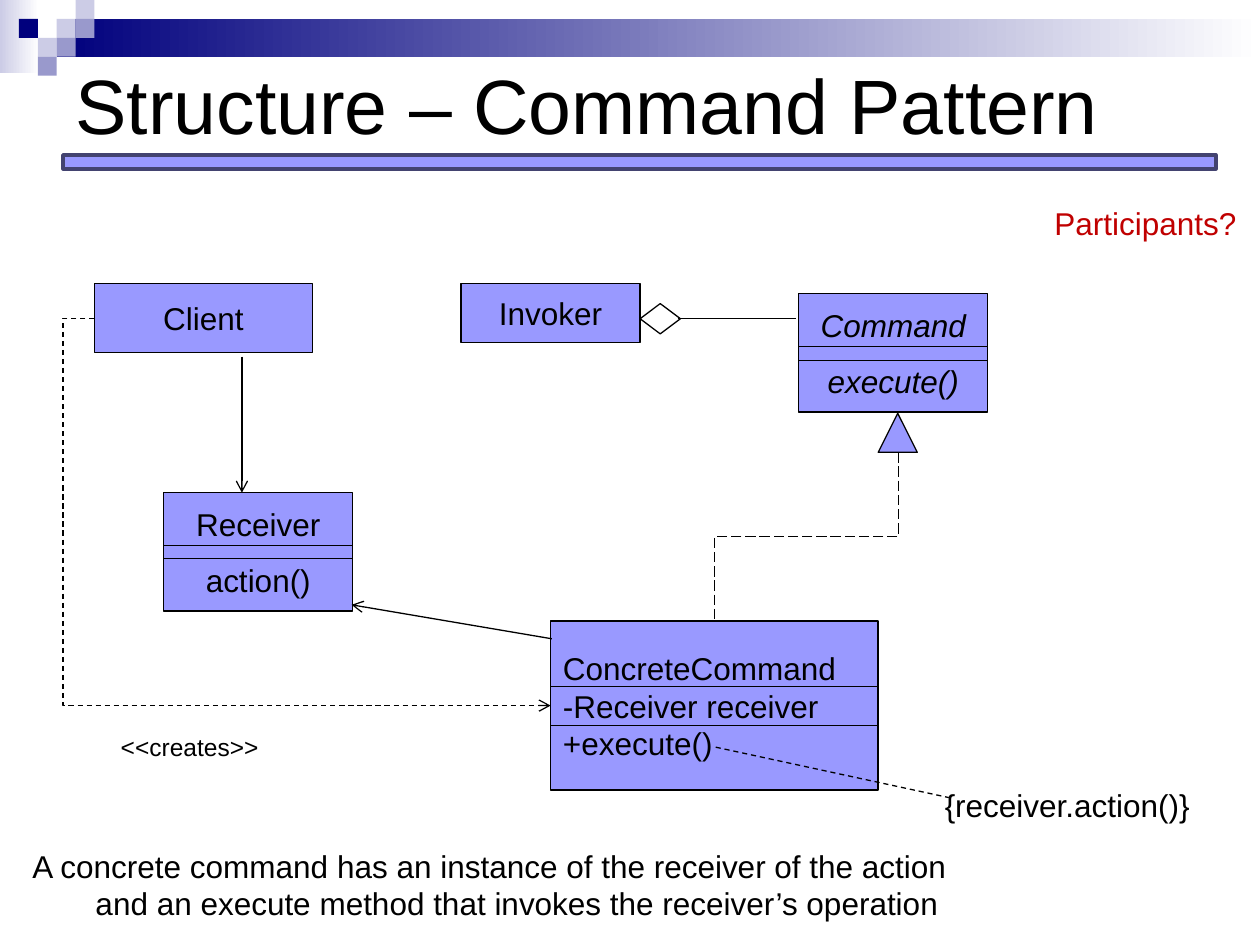
"""Build the slide on the structure of the Command pattern."""
import pptx
import pptx.util
import pptx.dml.color
import pptx.enum.dml
import pptx.enum.shapes
import pptx.enum.text
import pptx.oxml
import pptx.oxml.ns

COLORS = {
    "ink": "000000", "box": "9999FF", "bar edge": "434370", "question": "C00000",
    "navy": "00007D", "pale": "CCCCE6", "mid": "9999CC", "white": "FFFFFF",
}
RGB = {name: pptx.dml.color.RGBColor.from_string(code) for name, code in COLORS.items()}
SHAPE = pptx.enum.shapes.MSO_SHAPE
LINK = pptx.enum.shapes.MSO_CONNECTOR
DASH = pptx.enum.dml.MSO_LINE
ALIGN = pptx.enum.text.PP_ALIGN
MIDDLE = pptx.enum.text.MSO_ANCHOR.MIDDLE
THIN = pptx.util.Pt(0.75)
TOP, LEFT = 0, 1

deck = pptx.Presentation()
deck.slide_width = pptx.util.Inches(10)
deck.slide_height = pptx.util.Inches(7.5)
CELL = deck.slide_width / 100
slide = deck.slides.add_slide(deck.slide_layouts[5])
shapes = slide.shapes


def grid(*cells):
    """Turn columns and rows of the 100 by 75 grid into lengths."""
    return [pptx.util.Emu(round(count * CELL)) for count in cells]


def write(frame, text, size=18, color="ink", align=ALIGN.LEFT, italic=False,
          anchor=None, wrap=False, gap=0, second_level=0):
    """Fill a text frame, one paragraph for each line of the text."""
    frame.word_wrap = wrap
    if anchor is not None:
        frame.vertical_anchor = anchor
    for index, line in enumerate(text.split("\n")):
        paragraph = frame.add_paragraph() if index else frame.paragraphs[0]
        paragraph.alignment = align
        if index:
            paragraph.space_before = pptx.util.Pt(gap)
            paragraph.level = second_level
        run = paragraph.add_run()
        run.text = line
        run.font.name = "Arial"
        run.font.size = pptx.util.Pt(size)
        run.font.italic = italic
        run.font.color.rgb = RGB[color]


for place, start in [((0, 0, 3.1, 5.8), "pale"), ((4.5, 1.5, 95.5, 3), "navy")]:
    band = shapes.add_shape(SHAPE.RECTANGLE, *grid(*place))
    band.shadow.inherit = False
    band.line.fill.background()
    band.fill.gradient()
    band.fill.gradient_angle = 0
    for stop, color in zip(band.fill.gradient_stops, (start, "white")):
        stop.color.rgb = RGB[color]

TILE = 1.5
for column, row, color in [(3, 1, "pale"), (4, 0, "pale"), (4, 1, "mid"), (2, 2, "pale"),
                           (1, 1, "navy"), (3, 2, "mid"), (2, 3, "mid")]:
    tile = shapes.add_shape(SHAPE.RECTANGLE, *grid(column * TILE, row * TILE, TILE, TILE))
    tile.shadow.inherit = False
    tile.line.fill.background()
    tile.fill.solid()
    tile.fill.fore_color.rgb = RGB[color]

title = shapes.title
title.left, title.top, title.width, title.height = grid(5, 0.7, 90, 15)
write(title.text_frame, "Structure – Command Pattern", size=44, anchor=MIDDLE, wrap=True)

parts = {}
for part, preset, place, text, style in [
    ("bar", SHAPE.RECTANGLE, (5, 12.3, 91.5, 1.1), "", {}),
    ("client", SHAPE.RECTANGLE, (7.5, 22.5, 17.3, 5.5), "Client", {"align": ALIGN.CENTER}),
    ("invoker", SHAPE.RECTANGLE, (36.6, 22.5, 14.2, 4.7), "Invoker", {"align": ALIGN.CENTER}),
    ("receiver", SHAPE.RECTANGLE, (13, 39.1, 15, 9.4), "Receiver\naction()",
     {"align": ALIGN.CENTER, "gap": 10}),
    ("concrete", SHAPE.RECTANGLE, (43.7, 49.3, 26, 13.4),
     "ConcreteCommand\n-Receiver receiver\n+execute()", {}),
    ("command", SHAPE.RECTANGLE, (63.4, 23.3, 15, 9.4), "Command\nexecute()",
     {"align": ALIGN.CENTER, "gap": 10, "italic": True}),
    ("inheritance", SHAPE.ISOSCELES_TRIANGLE, (69.7, 32.8, 3.1, 3.1), "", {}),
    ("aggregation", SHAPE.DIAMOND, (50.8, 24.1, 3.2, 2.4), "", {}),
]:
    box = parts[part] = shapes.add_shape(preset, *grid(*place))
    box.shadow.inherit = False
    box.fill.solid()
    box.fill.fore_color.rgb = RGB["box"]
    box.line.color.rgb = RGB["ink"]
    box.line.width = THIN
    if text:
        write(box.text_frame, text, anchor=MIDDLE, **style)
parts["bar"].line.color.rgb = RGB["bar edge"]
parts["bar"].line.width = pptx.util.Pt(2)
parts["aggregation"].fill.background()

links = [((left, row, left + width, row), {})
         for left, width, rows in [(13, 15, (43.3, 44.3)), (43.7, 26, (54.5, 57.6)),
                                   (63.4, 15, (27.5, 28.6))]
         for row in rows]
links += [
    ((53.8, 25.3, 63.2, 25.3), {}),
    ((43.8, 50.7, 27.9, 48), {"arrow": True}),
    ((19.2, 28.3, 19.2, 39.1), {"arrow": True}),
    ((56.8, 59.3, 75.3, 63.3), {"dash": DASH.DASH}),
    ((57.3, 35.3, 70.7, 49.9), {"dash": DASH.LONG_DASH, "bend": 49900, "turn": 90,
                                "end": ("concrete", TOP)}),
    ((7.5, 25.25, 43.7, 56), {"dash": DASH.DASH, "bend": -6900, "arrow": True,
                              "begin": ("client", LEFT), "end": ("concrete", LEFT)}),
]
for ends, style in links:
    kind = LINK.ELBOW if "bend" in style else LINK.STRAIGHT
    link = shapes.add_connector(kind, *grid(*ends))
    link.line.color.rgb = RGB["ink"]
    link.line.width = THIN
    if "dash" in style:
        link.line.dash_style = style["dash"]
    if "begin" in style:
        part, side = style["begin"]
        link.begin_connect(parts[part], side)
    if "end" in style:
        part, side = style["end"]
        link.end_connect(parts[part], side)
    link.begin_x, link.begin_y, link.end_x, link.end_y = grid(*ends)
    properties = link._element.spPr
    if "turn" in style:
        properties.find(pptx.oxml.ns.qn("a:xfrm")).set("rot", str(style["turn"] * 60000))
    if "bend" in style:
        guides = properties.find(".//" + pptx.oxml.ns.qn("a:avLst"))
        guides.append(pptx.oxml.parse_xml(
            f'<a:gd {pptx.oxml.ns.nsdecls("a")} name="adj1" fmla="val {style["bend"]}"/>'))
    if style.get("arrow"):
        properties.find(pptx.oxml.ns.qn("a:ln")).append(pptx.oxml.parse_xml(
            f'<a:tailEnd {pptx.oxml.ns.nsdecls("a")} type="arrow"/>'))
    properties.append(pptx.oxml.parse_xml(f'<a:effectLst {pptx.oxml.ns.nsdecls("a")}/>'))

for place, text, style in [
    ((74, 61.9, 21.7, 4), "{receiver.action()}", {}),
    ((1.6, 66.7, 74.7, 7),
     "A concrete command has an instance of the receiver of the action\n"
     "and an execute method that invokes the receiver’s operation", {"second_level": 1}),
    ((82.7, 15.7, 16.6, 4), "Participants?", {"color": "question"}),
    ((8.6, 57.6, 13, 3.4), "<<creates>>", {"size": 14}),
]:
    note = shapes.add_textbox(*grid(*place))
    write(note.text_frame, text, **style)
    note.text_frame.auto_size = pptx.enum.text.MSO_AUTO_SIZE.SHAPE_TO_FIT_TEXT

deck.save("out.pptx")
